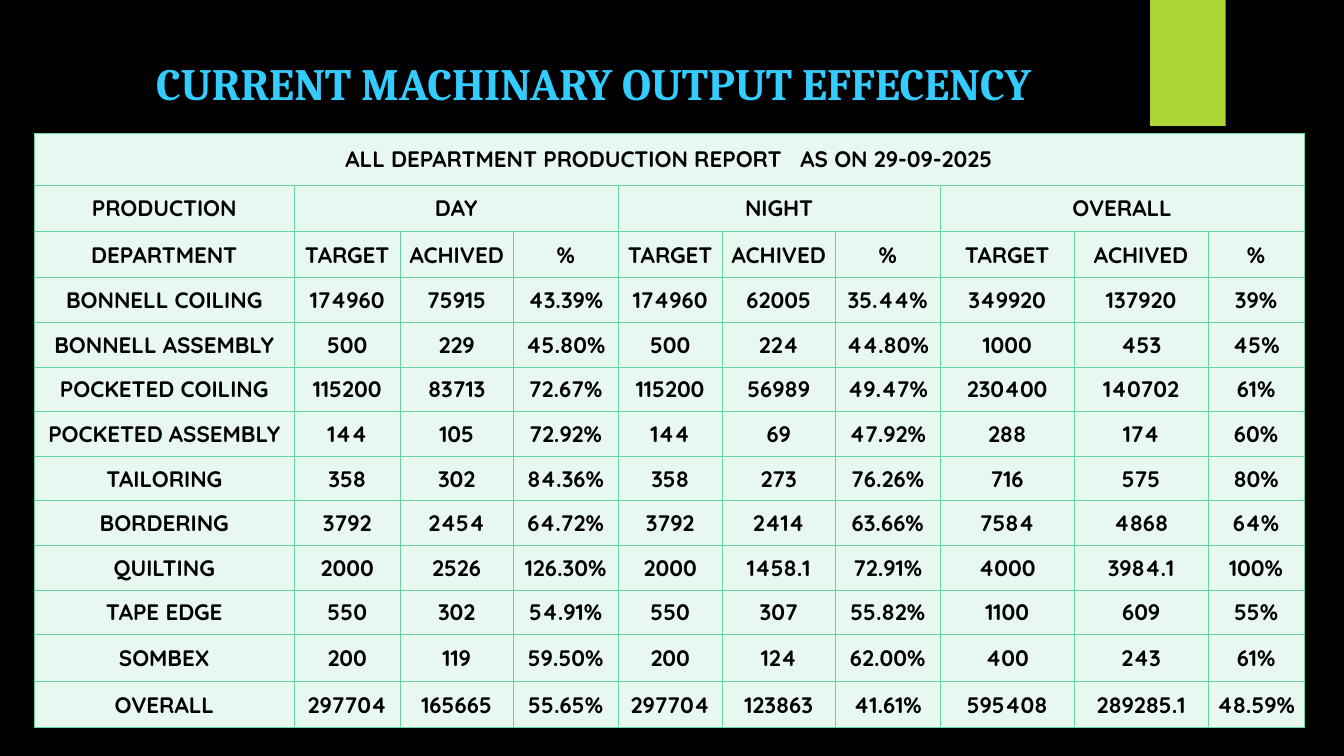
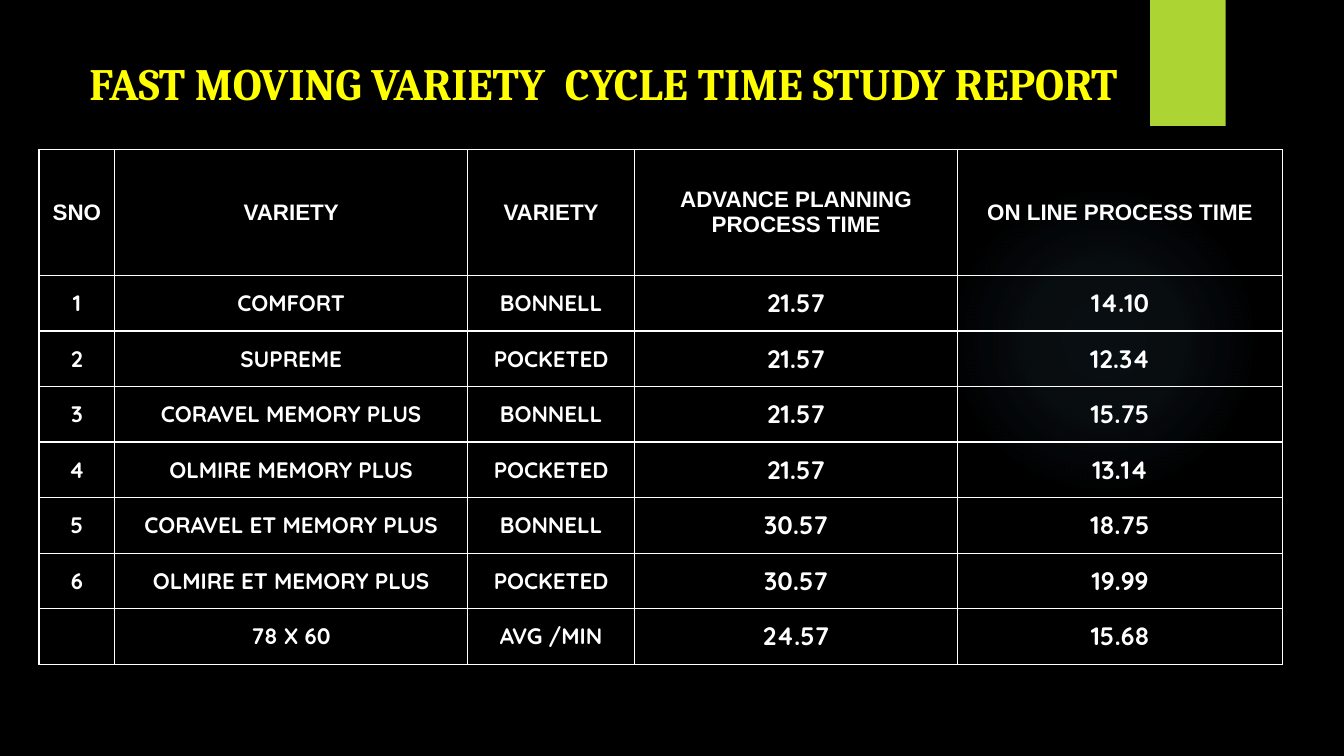
import pptx
import pptx.dml.color
import pptx.enum.shapes
import pptx.enum.text
import pptx.oxml
import pptx.oxml.ns
import pptx.util

Pt = pptx.util.Pt
CENTER = pptx.enum.text.PP_ALIGN.CENTER
LEFT = pptx.enum.text.PP_ALIGN.LEFT
MIDDLE = pptx.enum.text.MSO_ANCHOR.MIDDLE
SHAPE = pptx.enum.shapes.MSO_SHAPE
NAMESPACE = pptx.oxml.ns.nsdecls("a")

# Shared look
BLACK, WHITE = "000000", "FFFFFF"
LIME, GLOW = "ACD433", "7AC4F0"
CYAN, YELLOW = "33CCFF", "FFFF00"
MINT, MINT_LINE = "E8F7EF", "65D6A0"
TITLE_FONT, HEAD_FONT, BODY_FONT = "Cambria", "Arial", "Quicksand"
TITLE_SIZE, BODY_SIZE, TIME_SIZE = 32, 16, 18

# Production report
SHIFTS = ["DAY", "NIGHT", "OVERALL"]
MEASURES = ["TARGET", "ACHIVED", "%"]
PRODUCTION = [
    ("BONNELL COILING", "174960 75915 43.39% 174960 62005 35.44% 349920 137920 39%"),
    ("BONNELL ASSEMBLY", "500 229 45.80% 500 224 44.80% 1000 453 45%"),
    ("POCKETED COILING", "115200 83713 72.67% 115200 56989 49.47% 230400 140702 61%"),
    ("POCKETED ASSEMBLY", "144 105 72.92% 144 69 47.92% 288 174 60%"),
    ("TAILORING", "358 302 84.36% 358 273 76.26% 716 575 80%"),
    ("BORDERING", "3792 2454 64.72% 3792 2414 63.66% 7584 4868 64%"),
    ("QUILTING", "2000 2526 126.30% 2000 1458.1 72.91% 4000 3984.1 100%"),
    ("TAPE EDGE", "550 302 54.91% 550 307 55.82% 1100 609 55%"),
    ("SOMBEX", "200 119 59.50% 200 124 62.00% 400 243 61%"),
    ("OVERALL", "297704 165665 55.65% 297704 123863 41.61% 595408 289285.1 48.59%"),
]

# Cycle time study
CYCLE_TIMES = [
    ["SNO", "VARIETY", "VARIETY", "ADVANCE PLANNING PROCESS TIME", "ON LINE PROCESS TIME"],
    ["1", "COMFORT", "BONNELL", "21.57", "14.10"],
    ["2", "SUPREME", "POCKETED", "21.57", "12.34"],
    ["3", "CORAVEL MEMORY PLUS", "BONNELL", "21.57", "15.75"],
    ["4", "OLMIRE MEMORY PLUS", "POCKETED", "21.57", "13.14"],
    ["5", "CORAVEL ET MEMORY PLUS", "BONNELL", "30.57", "18.75"],
    ["6", "OLMIRE ET MEMORY PLUS", "POCKETED", "30.57", "19.99"],
    ["", "78 X 60", "AVG /MIN", "24.57", "15.68"],
]


def color(code):
    return pptx.dml.color.RGBColor.from_string(code)


def add_span(para, text, font, size, code):
    span = para.add_run()
    span.text = text
    span.font.name = font
    span.font.size = Pt(size)
    span.font.bold = True
    span.font.color.rgb = color(code)


def add_plain_shape(page, kind, box):
    shape = page.shapes.add_shape(kind, *map(Pt, box))
    shape.shadow.inherit = False
    shape.line.fill.background()
    return shape


def add_glow(page, box):
    """Faint round light, fading out from its centre."""
    glow = add_plain_shape(page, SHAPE.OVAL, box)
    stops = "".join(
        f'<a:gs pos="{place * 1000}"><a:srgbClr val="{GLOW}">'
        f'<a:alpha val="{alpha * 1000}"/></a:srgbClr></a:gs>'
        for place, alpha in [(0, 7), (36, 6), (69, 0)])
    gradient = pptx.oxml.parse_xml(
        f'<a:gradFill {NAMESPACE} rotWithShape="1"><a:gsLst>{stops}</a:gsLst>'
        '<a:path path="circle"><a:fillToRect l="50000" t="50000" r="50000" b="50000"/>'
        '</a:path></a:gradFill>')
    outline = glow.element.spPr.find(pptx.oxml.ns.qn("a:ln"))
    outline.addprevious(gradient)


def add_title(page, box, text, code, align):
    frame = page.shapes.add_textbox(*map(Pt, box)).text_frame
    frame.word_wrap = True
    para = frame.paragraphs[0]
    para.alignment = align
    add_span(para, text, TITLE_FONT, TITLE_SIZE, code)


def add_page(deck, title, title_box, code, align):
    """Black page with the glow, the lime tab and the title."""
    page = deck.slides.add_slide(deck.slide_layouts[6])
    page.background.fill.solid()
    page.background.fill.fore_color.rgb = color(BLACK)
    add_glow(page, (677.5, 131.8, 221.8, 221.8))
    tab = add_plain_shape(page, SHAPE.RECTANGLE, (821.5, 0, 54, 90))
    tab.fill.solid()
    tab.fill.fore_color.rgb = color(LIME)
    add_title(page, title_box, title, code, align)
    return page


def set_borders(cell, code, width):
    properties = cell._tc.get_or_add_tcPr()
    for index, side in enumerate(["lnL", "lnR", "lnT", "lnB"]):
        properties.insert(index, pptx.oxml.parse_xml(
            f'<a:{side} {NAMESPACE} w="{Pt(width)}"><a:solidFill>'
            f'<a:srgbClr val="{code}"/></a:solidFill></a:{side}>'))


def add_grid(page, corner, widths, heights, rows, style, ink, line, fill=None):
    """Table at a corner; style(row, column) gives the font and size of a cell."""
    box = (*corner, sum(widths), sum(heights))
    table = page.shapes.add_table(len(heights), len(widths), *map(Pt, box)).table
    table.first_row = table.horz_banding = False
    for column, width in zip(table.columns, widths):
        column.width = Pt(width)
    for row, height in zip(table.rows, heights):
        row.height = Pt(height)
    for r, texts in enumerate(rows):
        for c, text in enumerate(texts):
            cell = table.cell(r, c)
            cell.margin_left = cell.margin_right = cell.margin_top = cell.margin_bottom = 0
            cell.vertical_anchor = MIDDLE
            if fill:
                cell.fill.solid()
                cell.fill.fore_color.rgb = color(fill)
            else:
                cell.fill.background()
            set_borders(cell, *line)
            para = cell.text_frame.paragraphs[0]
            para.alignment = CENTER
            if text:
                add_span(para, text, *style(r, c), ink)
    return table


def production_page(deck):
    page = add_page(deck, "CURRENT MACHINARY OUTPUT EFFECENCY",
                    (104.4, 36, 815.8, 48), CYAN, LEFT)
    widths = [185.7, 75.7, 80.7, 75, 74.4, 80.7, 75, 95.7, 95.7, 68.5]
    heights = [37, 33, 33] + [31.88] * 8 + [33.5, 33]
    shift_row = ["PRODUCTION"]
    for shift in SHIFTS:
        shift_row += [shift, "", ""]
    rows = [["ALL DEPARTMENT PRODUCTION REPORT   AS ON 29-09-2025"] + [""] * 9,
            shift_row,
            ["DEPARTMENT"] + MEASURES * len(SHIFTS)]
    rows += [[name] + values.split() for name, values in PRODUCTION]
    table = add_grid(page, (24.5, 95.5), widths, heights, rows,
                     lambda r, c: (BODY_FONT, BODY_SIZE), BLACK, (MINT_LINE, 0.75), MINT)
    # Heading spans
    table.cell(0, 0).merge(table.cell(0, 9))
    for first in (1, 4, 7):
        table.cell(1, first).merge(table.cell(1, first + 2))


def cycle_time_style(row, column):
    if row == 0:
        return HEAD_FONT, BODY_SIZE
    return BODY_FONT, TIME_SIZE if column >= 3 else BODY_SIZE


def cycle_time_page(deck):
    page = add_page(deck, "FAST MOVING VARIETY  CYCLE TIME STUDY REPORT",
                    (-30.2, 36, 923, 110), YELLOW, CENTER)
    add_grid(page, (27.8, 106.7), [54.2, 252, 119.3, 230.7, 232.2], [90] + [39.7] * 7,
             CYCLE_TIMES, cycle_time_style, WHITE, (WHITE, 1))


def main():
    deck = pptx.Presentation()
    deck.slide_width, deck.slide_height = Pt(960), Pt(540)
    production_page(deck)
    cycle_time_page(deck)
    deck.save("out.pptx")


if __name__ == "__main__":
    main()
